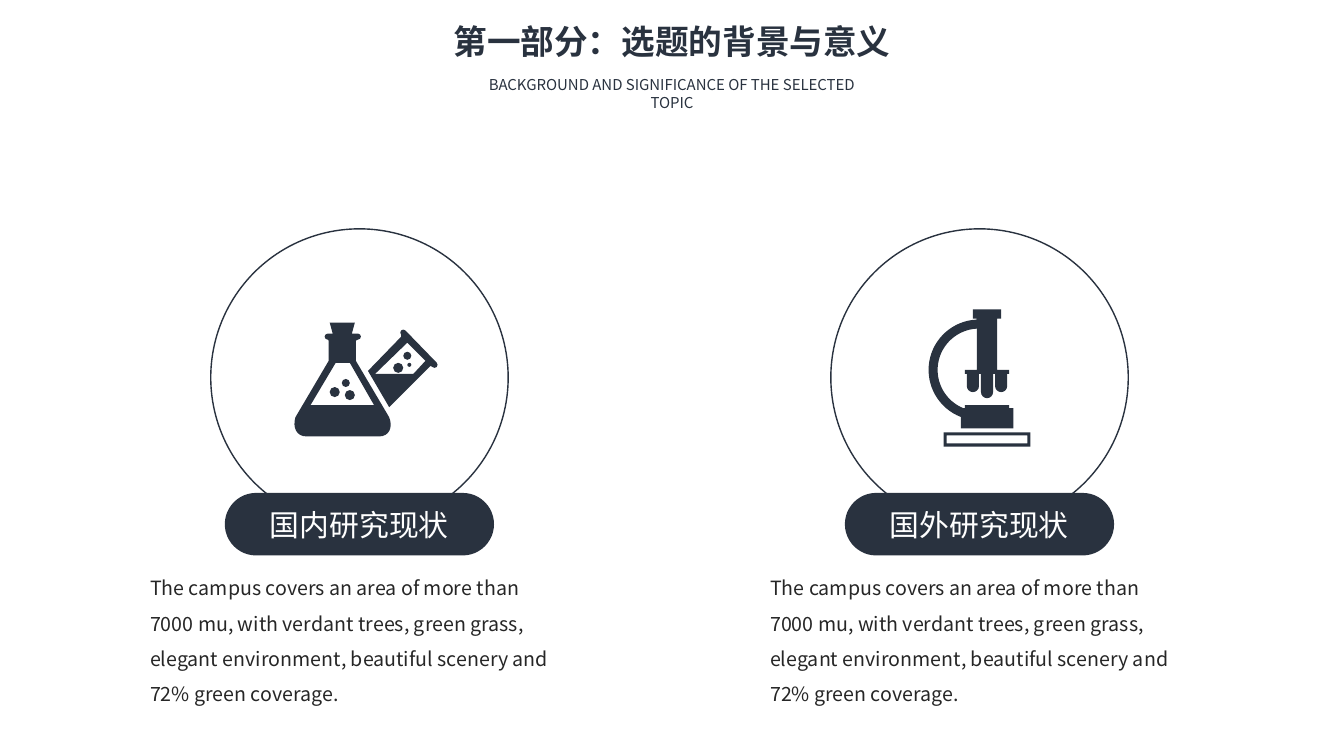
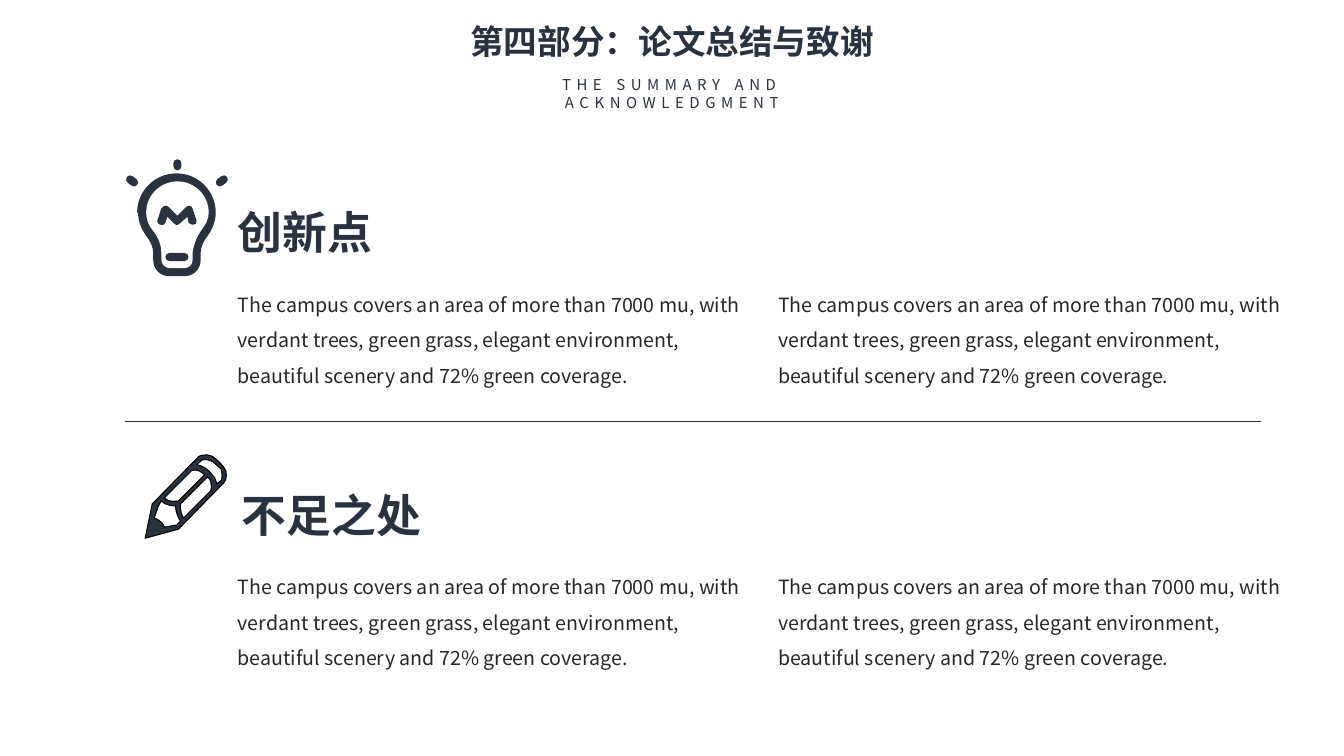
from math import atan2, ceil, cos, degrees, radians, sin, tan

from lxml.etree import SubElement
from pptx import Presentation
from pptx.dml.color import RGBColor
from pptx.enum.shapes import MSO_CONNECTOR, MSO_SHAPE
from pptx.enum.text import MSO_ANCHOR, MSO_AUTO_SIZE, PP_ALIGN
from pptx.oxml.ns import qn
from pptx.util import Inches, Pt

NAVY = RGBColor(0x29, 0x32, 0x3F)
INK = RGBColor(0x26, 0x26, 0x26)
WHITE = RGBColor(0xFF, 0xFF, 0xFF)
BLACK = RGBColor(0x00, 0x00, 0x00)
FONT = "Noto Sans CJK SC"
SLIDE_WIDTH = 13.33
CAMPUS_TEXT = (
    "The campus covers an area of more than 7000 mu, with verdant trees, green grass, "
    "elegant environment, beautiful scenery and 72% green coverage."
)


def write(shape, text, size, color=NAVY, bold=False, align=PP_ALIGN.LEFT,
          anchor=MSO_ANCHOR.TOP, line_spacing=1.0, tracking=0):
    frame = shape.text_frame
    frame.auto_size = MSO_AUTO_SIZE.NONE
    frame.word_wrap = True
    frame.vertical_anchor = anchor
    frame.text = text
    paragraph = frame.paragraphs[0]
    paragraph.alignment = align
    paragraph.line_spacing = line_spacing
    font = paragraph.font
    font.name = FONT
    font.size = Pt(size)
    font.bold = bold
    font.color.rgb = color
    properties = paragraph._p.pPr.find(qn("a:defRPr"))
    SubElement(properties, qn("a:ea")).set("typeface", FONT)
    if tracking:
        properties.set("spc", str(tracking * 100))


def add_text(slide, box, text, size, **style):
    shape = slide.shapes.add_textbox(*map(Inches, box))
    write(shape, text, size, **style)


def add_body(slide, left, top, width, height):
    add_text(slide, (left, top, width, height), CAMPUS_TEXT, 14, color=INK, line_spacing=1.5)


def add_titled_slide(presentation, title, title_width, subtitle, subtitle_width, tracking=0):
    slide = presentation.slides.add_slide(presentation.slide_layouts[5])
    shape = slide.shapes.title
    shape.left, shape.top = Inches((SLIDE_WIDTH - title_width) / 2), Inches(0.16)
    shape.width, shape.height = Inches(title_width), Inches(0.5)
    write(shape, title, 24, bold=True, align=PP_ALIGN.CENTER)
    subtitle_left = (SLIDE_WIDTH - subtitle_width) / 2
    add_text(slide, (subtitle_left, 0.7, subtitle_width, 0.28), subtitle, 10.67,
             align=PP_ALIGN.CENTER, tracking=tracking)
    return slide


def add_shape(slide, kind, left, top, width, height):
    shape = slide.shapes.add_shape(kind, *map(Inches, (left, top, width, height)))
    shape.shadow.inherit = False
    return shape


def add_divider(slide, left, right, y):
    line = slide.shapes.add_connector(
        MSO_CONNECTOR.STRAIGHT, Inches(left), Inches(y), Inches(right), Inches(y))
    line.line.color.rgb = NAVY
    line.line.width = Pt(0.5)
    SubElement(line._element.spPr, qn("a:effectLst"))


def bend_segments(shape, segments):
    lines = list(shape._element.iter(qn("a:lnTo")))
    for line, segment in zip(lines, segments):
        if len(segment) == 2:
            continue
        line.getparent().replace(line, bezier := line.makeelement(qn("a:cubicBezTo"), {}))
        for x, y in zip(segment[::2], segment[1::2]):
            point = SubElement(bezier, qn("a:pt"))
            point.set("x", str(Inches(x) - shape.left))
            point.set("y", str(Inches(y) - shape.top))


def add_icon(slide, contours, fill=NAVY, outline=None):
    ends = [[tuple(map(Inches, segment[-2:])) for segment in contour] for contour in contours]
    builder = slide.shapes.build_freeform(*ends[0][0])
    for index, points in enumerate(ends):
        if index:
            builder.move_to(*points[0])
        for point in points[1:]:
            builder.add_line_segments([point], close=False)
        builder.add_line_segments([], close=True)
    shape = builder.convert_to_shape()
    bend_segments(shape, [segment for contour in contours for segment in contour[1:]])
    shape.shadow.inherit = False
    shape.fill.solid()
    shape.fill.fore_color.rgb = fill
    if outline is None:
        shape.line.fill.background()
    else:
        shape.line.color.rgb = outline
        shape.line.width = Pt(0.75)


def arc(x, y, radius, start, end):
    count = ceil(abs(end - start) / 90)
    sweep = radians(end - start) / count
    reach = 4 / 3 * tan(sweep / 4)
    angles = [radians(start) + sweep * step for step in range(count + 1)]
    points = [(x + radius * cos(angle), y + radius * sin(angle)) for angle in angles]
    segments = [points[0]]
    for (x1, y1), (x2, y2) in zip(points, points[1:]):
        segments.append((x1 - reach * (y1 - y), y1 + reach * (x1 - x),
                         x2 + reach * (y2 - y), y2 - reach * (x2 - x), x2, y2))
    return segments


def circle(x, y, radius):
    return arc(x, y, radius, 0, 360)


def capsule(x1, y1, x2, y2, radius=0.04):
    angle = degrees(atan2(y2 - y1, x2 - x1))
    return (arc(x2, y2, radius, angle - 90, angle + 90)
            + arc(x1, y1, radius, angle + 90, angle + 270))


def rectangle(left, top, right, bottom):
    return [(left, top), (right, top), (right, bottom), (left, bottom)]


def lens(x, bottom, radius):
    return [(x - radius, 3.71), *arc(x, bottom, radius, 180, 0), (x + radius, 3.71)]


def add_flask_icon(slide):
    flask = [
        (3.86, 4.14), (3.9, 4.24, 3.86, 4.33, 3.76, 4.33),
        (3.04, 4.33), (2.94, 4.33, 2.9, 4.24, 2.93, 4.14),
        (3.26, 3.58), (3.26, 3.38), *arc(3.25, 3.34, 0.03, 90, 270),
        (3.3, 3.31), (3.27, 3.2), (3.52, 3.2), (3.49, 3.31),
        *arc(3.55, 3.34, 0.03, 270, 450), (3.53, 3.38), (3.53, 3.58),
    ]
    flask_window = [(3.71, 4.02), (3.47, 3.6), (3.33, 3.6), (3.08, 4.02)]
    tube = [
        (3.86, 4.04), (3.65, 3.68), (3.98, 3.34), *arc(4, 3.3, 0.03, 135, 315),
        *arc(4.31, 3.62, 0.03, 315, 495), (4.27, 3.63),
    ]
    tube_window = [(4.22, 3.58), (4.04, 3.4), (3.72, 3.71), (4.1, 3.71)]
    bubbles = [(3.47, 3.92, 0.05), (3.32, 3.89, 0.05), (3.43, 3.8, 0.04),
               (4.06, 3.62, 0.02), (3.95, 3.65, 0.05), (4.04, 3.53, 0.04)]
    add_icon(slide, [flask, flask_window, tube, tube_window]
             + [circle(*bubble) for bubble in bubbles])


def add_microscope_icon(slide):
    body = [
        (10.01, 4.05), (10.01, 4.02), (9.57, 4.02), (9.57, 4.05),
        *arc(9.71, 3.67, 0.41, 112, 267), (9.69, 3.67), (9.57, 3.67), (9.57, 3.71),
        *lens(9.65, 3.83, 0.06), *lens(9.79, 3.89, 0.06), *lens(9.93, 3.83, 0.06),
        (10.01, 3.71), (10.01, 3.67), (9.89, 3.67), (9.89, 3.16), (9.93, 3.16),
        (9.93, 3.07), (9.65, 3.07), (9.65, 3.16), (9.69, 3.16),
        *arc(9.71, 3.67, 0.5, 267, 111), (9.53, 4.25), (10.05, 4.25), (10.05, 4.05),
    ]
    add_icon(slide, [body])
    add_icon(slide, [rectangle(9.36, 4.29, 10.22, 4.43), rectangle(9.39, 4.32, 10.19, 4.4)])


def add_bulb_icon(slide):
    outside = [
        (1.83, 2.74), (1.68, 2.74), (1.59, 2.74, 1.52, 2.67, 1.52, 2.58),
        (1.52, 2.51), (1.52, 2.45, 1.49, 2.39, 1.45, 2.34),
        (1.4, 2.27, 1.37, 2.19, 1.37, 2.11), *arc(1.75, 2.11, 0.39, 180, 360),
        (2.14, 2.19, 2.11, 2.27, 2.06, 2.34), (2.02, 2.39, 1.99, 2.45, 1.99, 2.51),
        (1.99, 2.58), (1.99, 2.67, 1.92, 2.74, 1.83, 2.74),
    ]
    inside = [
        *arc(1.76, 2.11, 0.31, 360, 180), (1.45, 2.17, 1.47, 2.23, 1.51, 2.28),
        (1.57, 2.35, 1.6, 2.43, 1.6, 2.51), (1.6, 2.58),
        (1.6, 2.62, 1.64, 2.66, 1.68, 2.66), (1.83, 2.66),
        (1.88, 2.66, 1.91, 2.62, 1.91, 2.58), (1.91, 2.51),
        (1.92, 2.43, 1.95, 2.35, 2, 2.28), (2.04, 2.23, 2.07, 2.17, 2.07, 2.11),
    ]
    filament = [
        (1.91, 2.23), (1.9, 2.23, 1.88, 2.22, 1.87, 2.21), (1.86, 2.15), (1.78, 2.22),
        (1.77, 2.24, 1.74, 2.24, 1.73, 2.22), (1.66, 2.15), (1.64, 2.21),
        (1.63, 2.23, 1.61, 2.24, 1.59, 2.23), (1.57, 2.23, 1.56, 2.21, 1.56, 2.19),
        (1.6, 2.07), (1.61, 2.05, 1.63, 2.04, 1.65, 2.04),
        (1.66, 2.05, 1.66, 2.05, 1.67, 2.05), (1.76, 2.14), (1.85, 2.05),
        (1.86, 2.04, 1.88, 2.04, 1.9, 2.05), (1.91, 2.06, 1.91, 2.06, 1.91, 2.07),
        (1.95, 2.19), (1.95, 2.21, 1.94, 2.23, 1.92, 2.23),
    ]
    rays = [(2.18, 1.81, 2.22, 1.78), (1.33, 1.81, 1.29, 1.78),
            (1.76, 1.62, 1.76, 1.65), (1.68, 2.55, 1.83, 2.55)]
    add_icon(slide, [outside])
    add_icon(slide, [inside], fill=WHITE)
    add_icon(slide, [filament] + [capsule(*ray) for ray in rays])


def add_pencil_icon(slide):
    outside = [
        (2.24, 4.67), (2.2, 4.59, 2.11, 4.53, 2.11, 4.53),
        (2.03, 4.49, 1.97, 4.53, 1.97, 4.53), (1.51, 5), (1.44, 5.34), (1.77, 5.25),
        (2.22, 4.79), (2.26, 4.75, 2.24, 4.67, 2.24, 4.67),
    ]
    left_side = [
        (1.9, 4.67), (1.9, 4.67, 1.96, 4.64, 2.03, 4.71),
        (1.77, 4.97), (1.77, 4.97, 1.67, 4.99, 1.63, 4.94),
    ]
    wood = [
        (1.75, 5.21), (1.63, 5.23), (1.61, 5.16, 1.53, 5.14, 1.53, 5.14),
        (1.57, 5.02), (1.6, 4.97), (1.64, 5.02, 1.74, 5.02, 1.74, 5.02),
        (1.74, 5.09, 1.79, 5.17, 1.79, 5.17),
    ]
    right_side = [
        (2.09, 4.87), (1.82, 5.14), (1.78, 5.08, 1.79, 5, 1.79, 5),
        (2.06, 4.73), (2.12, 4.79, 2.09, 4.87, 2.09, 4.87),
    ]
    eraser = [
        (2.19, 4.77), (2.15, 4.8), (2.15, 4.79, 2.13, 4.74, 2.13, 4.74), (2.07, 4.67),
        (2.02, 4.62, 1.95, 4.61, 1.95, 4.61), (2.01, 4.56),
        (2.05, 4.55, 2.11, 4.58, 2.11, 4.58), (2.19, 4.65),
        (2.22, 4.74, 2.19, 4.77, 2.19, 4.77),
    ]
    add_icon(slide, [outside, left_side, wood, right_side, eraser], outline=BLACK)


def add_research_panel(slide, left, label):
    ring = add_shape(slide, MSO_SHAPE.OVAL, left + 0.7, 2.27, 2.95, 2.95)
    ring.fill.background()
    ring.line.color.rgb = NAVY
    ring.line.width = Pt(1)
    pill = add_shape(slide, MSO_SHAPE.ROUNDED_RECTANGLE, left + 0.84, 4.89, 2.67, 0.62)
    pill.adjustments[0] = 0.5
    pill.fill.solid()
    pill.fill.fore_color.rgb = NAVY
    pill.line.fill.background()
    write(pill, label, 21.33, color=WHITE, align=PP_ALIGN.CENTER, anchor=MSO_ANCHOR.MIDDLE)
    add_body(slide, left, 5.55, 4.27, 1.48)


def add_summary_section(slide, heading, heading_box, body_top):
    add_text(slide, heading_box, heading, 32, bold=True)
    for column in (2.26, 7.62):
        add_body(slide, column, body_top, 5.24, 1.13)


def build_background_slide(presentation):
    slide = add_titled_slide(presentation, "第一部分：选题的背景与意义", 4.58,
                             "BACKGROUND AND SIGNIFICANCE OF THE SELECTED TOPIC", 4.08)
    add_research_panel(slide, 1.39, "国内研究现状")
    add_research_panel(slide, 7.54, "国外研究现状")
    add_flask_icon(slide)
    add_microscope_icon(slide)


def build_summary_slide(presentation):
    slide = add_titled_slide(presentation, "第四部分：论文总结与致谢", 4.24,
                             "THE SUMMARY AND ACKNOWLEDGMENT", 4.59, tracking=4)
    add_summary_section(slide, "创新点", (2.26, 1.98, 1.55, 0.64), 2.74)
    add_bulb_icon(slide)
    add_divider(slide, 1.24, 12.51, 4.18)
    add_summary_section(slide, "不足之处", (2.3, 4.79, 2, 0.64), 5.54)
    add_pencil_icon(slide)


def main():
    presentation = Presentation()
    presentation.slide_width = Inches(SLIDE_WIDTH)
    presentation.slide_height = Inches(7.5)
    build_background_slide(presentation)
    build_summary_slide(presentation)
    presentation.save("out.pptx")


if __name__ == "__main__":
    main()
